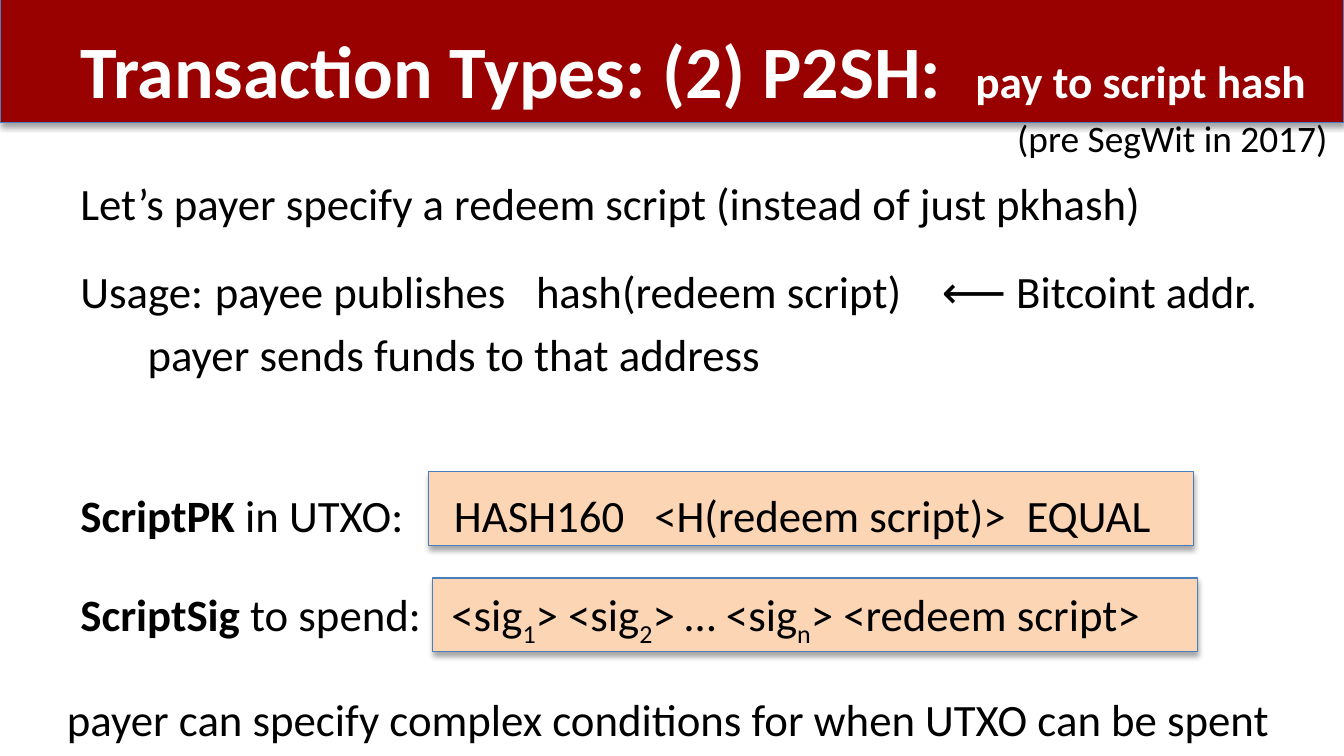
from dataclasses import dataclass

import pptx
import pptx.dml.color
import pptx.enum.shapes
import pptx.enum.text
import pptx.oxml
import pptx.oxml.ns
import pptx.util
from pptx.util import Inches


@dataclass(frozen=True)
class Theme:
    font: str = "Calibri"
    banner: str = "990000"
    code: str = "FCD5B5"
    outline: str = "4B7EBC"
    ink: str = "000000"
    light: str = "FFFFFF"
    title_size: float = 39.6
    subtitle_size: float = 24.3
    body_size: float = 24
    note_size: float = 20


THEME = Theme()


@dataclass(frozen=True)
class Area:
    left: float
    top: float
    width: float
    height: float

    def lengths(self) -> list[int]:
        return [Inches(n) for n in (self.left, self.top, self.width, self.height)]


@dataclass(frozen=True)
class Span:
    text: str
    bold: bool = False
    size: float = THEME.body_size
    color: str = THEME.ink
    subscript: bool = False


@dataclass(frozen=True)
class Para:
    spans: list[Span]
    space_before: float = 0
    tabs: tuple[float, ...] = ()


def rgb(color: str) -> pptx.dml.color.RGBColor:
    return pptx.dml.color.RGBColor.from_string(color)


def add_panel(page, area: Area, fill: str) -> None:
    """Draw an outlined rectangle with a soft shadow below it."""
    box = page.shapes.add_shape(
        pptx.enum.shapes.MSO_SHAPE.RECTANGLE, *area.lengths())
    box.fill.solid()
    box.fill.fore_color.rgb = rgb(fill)
    box.line.color.rgb = rgb(THEME.outline)
    box.line.width = pptx.util.Pt(0.75)
    box.shadow.inherit = False
    effects = box._element.spPr.find(pptx.oxml.ns.qn("a:effectLst"))
    effects.append(pptx.oxml.parse_xml(
        f'<a:outerShdw {pptx.oxml.ns.nsdecls("a")} blurRad="{pptx.util.Pt(3.1)}" '
        f'dist="{pptx.util.Pt(1.8)}" dir="5400000" rotWithShape="0">'
        '<a:srgbClr val="000000"><a:alpha val="35000"/></a:srgbClr></a:outerShdw>'))


def set_tabs(para, positions: tuple[float, ...]) -> None:
    stops = "".join(f'<a:tab pos="{Inches(n)}" algn="l"/>' for n in positions)
    para._p.get_or_add_pPr().append(pptx.oxml.parse_xml(
        f'<a:tabLst {pptx.oxml.ns.nsdecls("a")}>{stops}</a:tabLst>'))


def add_span(para, span: Span) -> None:
    run = para.add_run()
    run.text = span.text
    formats = {"name": THEME.font, "size": pptx.util.Pt(span.size), "bold": span.bold}
    for name, value in formats.items():
        setattr(run.font, name, value)
    run.font.color.rgb = rgb(span.color)
    if span.subscript:
        run.font._element.set("baseline", "-25000")


def add_text(page, area: Area, paras: list[Para], margin_top: float = 0.05) -> None:
    frame = page.shapes.add_textbox(*area.lengths()).text_frame
    formats = {
        "word_wrap": True,
        "vertical_anchor": pptx.enum.text.MSO_ANCHOR.TOP,
        "margin_top": Inches(margin_top),
    }
    for name, value in formats.items():
        setattr(frame, name, value)
    for index, content in enumerate(paras):
        para = frame.add_paragraph() if index else frame.paragraphs[0]
        para.space_before = pptx.util.Pt(content.space_before)
        if content.tabs:
            set_tabs(para, content.tabs)
        for span in content.spans:
            add_span(para, span)


TITLE = Para([
    Span("Transaction Types: (2) P2SH:\t", True, THEME.title_size, THEME.light),
    Span("pay to script hash", True, THEME.subtitle_size, THEME.light),
], tabs=(6.66,))

BODY = [
    Para([Span("Let’s payer specify a redeem script (instead of just pkhash)")]),
    Para([Span("Usage:\tpayee publishes\thash(redeem script)\t⟵ Bitcoint addr.")],
         18.2, (1, 3.39, 6.41)),
    Para([Span("\tpayer sends funds to that address")], 5, (0.5,)),
    Para([Span("ScriptPK", True),
          Span(" in UTXO:\tHASH160\t<H(redeem script)>\tEQUAL")],
         57.4, (2.78, 4.27, 7.04)),
    Para([Span("ScriptSig", True), Span(" to spend:\t<sig"),
          Span("1", subscript=True), Span("> <sig"),
          Span("2", subscript=True), Span("> … <sig"),
          Span("n", subscript=True), Span("> <redeem script>")],
         24.5, (2.76,)),
]


def main() -> None:
    deck = pptx.Presentation()
    deck.slide_width = Inches(10)
    deck.slide_height = deck.slide_width * 9 // 16
    page = deck.slides.add_slide(deck.slide_layouts[6])

    add_panel(page, Area(0, -0.01, 10, 0.92), THEME.banner)
    for left, top in ((3.22, 4.3), (3.19, 3.51)):
        add_panel(page, Area(left, top, 5.69, 0.55), THEME.code)

    add_text(page, Area(0.5, 0.14, 9.4, 0.68), [TITLE], margin_top=0.04)
    add_text(page, Area(0.5, 1.26, 9, 3.84), BODY)
    add_text(page, Area(7.47, 0.81, 2.54, 0.44),
             [Para([Span("(pre SegWit in 2017)", size=THEME.note_size)])])
    add_text(page, Area(0.4, 5.1, 9.31, 0.5), [Para([Span(
        "payer can specify complex conditions for when UTXO can be spent")])])

    deck.save("out.pptx")


if __name__ == "__main__":
    main()
